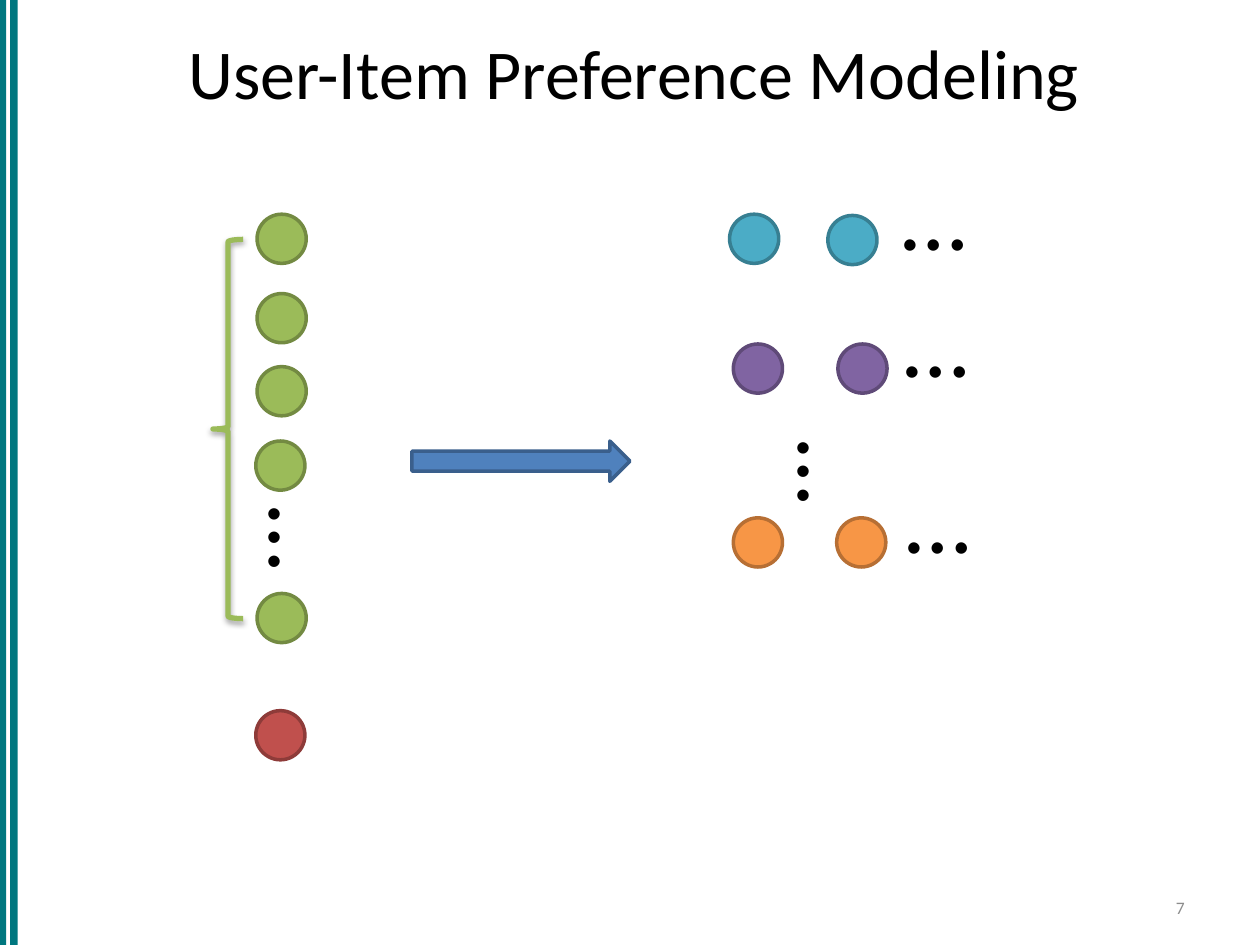
from lxml import etree
from pptx import Presentation
from pptx import util as u
from pptx.dml import color
from pptx.enum import shapes, text
from pptx.oxml import ns

theme = dict(
    font="Calibri", title=40, dots=54, num=10,
    ink="000000", grey="8C8C8C", teal="00777F",
    green=("9BBB59", "738A42"), red=("C0504D", "8E3B39"),
    blue=("4F81BD", "3A5F8C"), cyan=("4BACC6", "377F92"),
    plum=("8064A2", "5F4A78"), gold=("F79646", "B76F34"),
)
rgb = color.RGBColor.from_string
kind = shapes.MSO_SHAPE

deck = Presentation()
deck.slide_width, deck.slide_height = u.Inches(10), u.Inches(7.5)
slide = deck.slides.add_slide(deck.slide_layouts[5])

# Grid of 100 columns by 75 rows
col = deck.slide_width / 100
row = deck.slide_height / 75
ball = 3.9


def draw(form, x, y, w, h, fill=None, line=None, width=2):
    part = slide.shapes.add_shape(
        form, int(x * col), int(y * row), int(w * col), int(h * row))
    part.shadow.inherit = False
    if fill:
        part.fill.solid()
        part.fill.fore_color.rgb = rgb(fill)
    else:
        part.fill.background()
    if line:
        part.line.color.rgb = rgb(line)
        part.line.width = u.Pt(width)
    else:
        part.line.fill.background()
    return part


def write(box, words, size, ink, align, anchor):
    frame = box.text_frame
    frame.text = words
    frame.word_wrap = True
    frame.vertical_anchor = anchor
    para = frame.paragraphs[0]
    para.alignment = align
    font = para.runs[0].font
    font.name, font.size = theme["font"], u.Pt(size)
    font.color.rgb = rgb(ink)


# Side bars
for x in (0.8, -0.1):
    draw(kind.RECTANGLE, x, 0, 0.6, 75, theme["teal"])

# Title
title = slide.shapes.title
title.left, title.top = int(5 * col), int(1.3 * row)
title.width, title.height = int(90.6 * col), int(8.7 * row)
write(title, "User-Item Preference Modeling", theme["title"], theme["ink"],
      text.PP_ALIGN.CENTER, text.MSO_ANCHOR.MIDDLE)

# Slide number
num = slide.shapes.add_textbox(
    int(71.7 * col), int(70.6 * row), int(23.3 * col), int(2.9 * row))
write(num, "7", theme["num"], theme["grey"],
      text.PP_ALIGN.RIGHT, text.MSO_ANCHOR.MIDDLE)

# Users on the left, items on the right
balls = [
    ("green", [(20.4, 17), (20.4, 23.3), (20.4, 29.1), (20.3, 35), (20.4, 47.1)]),
    ("red", [(20.3, 56.4)]),
    ("cyan", [(57.9, 17), (65.7, 17.1)]),
    ("plum", [(58.2, 27.3), (66.5, 27.3)]),
    ("gold", [(58.2, 41.1), (66.4, 41.1)]),
]
for name, spots in balls:
    for x, y in spots:
        draw(kind.OVAL, x, y, ball, ball, *theme[name])

# Brace around the green users, with a soft shadow
brace = draw(kind.LEFT_BRACE, 16.9, 19, 2.4, 30.1, None, theme["green"][0], 3)
effects = brace.element.spPr.find(ns.qn("a:effectLst"))
shade = etree.SubElement(
    effects, ns.qn("a:outerShdw"), blurRad=str(u.Pt(3.1)),
    dist=str(u.Pt(1.8)), dir="5400000", rotWithShape="0")
tone = etree.SubElement(shade, ns.qn("a:srgbClr"), val=theme["ink"])
etree.SubElement(tone, ns.qn("a:alpha"), val="35000")

# Arrow from users to items
draw(kind.RIGHT_ARROW, 32.7, 35, 17.3, 3.2, *theme["blue"])

# Ellipses: across for rows, turned for columns
for x, y, turn in [(22.4, 36, 90), (70.6, 11.9, 0), (70.7, 22, 0),
                   (70.9, 35.9, 0), (64.4, 30.8, 90)]:
    dots = slide.shapes.add_textbox(
        int(x * col), int(y * row), int(ball * col), int(10.1 * row))
    dots.rotation = turn
    write(dots, "…", theme["dots"], theme["ink"],
          text.PP_ALIGN.LEFT, text.MSO_ANCHOR.TOP)
    dots.text_frame.auto_size = text.MSO_AUTO_SIZE.SHAPE_TO_FIT_TEXT

deck.save("out.pptx")
